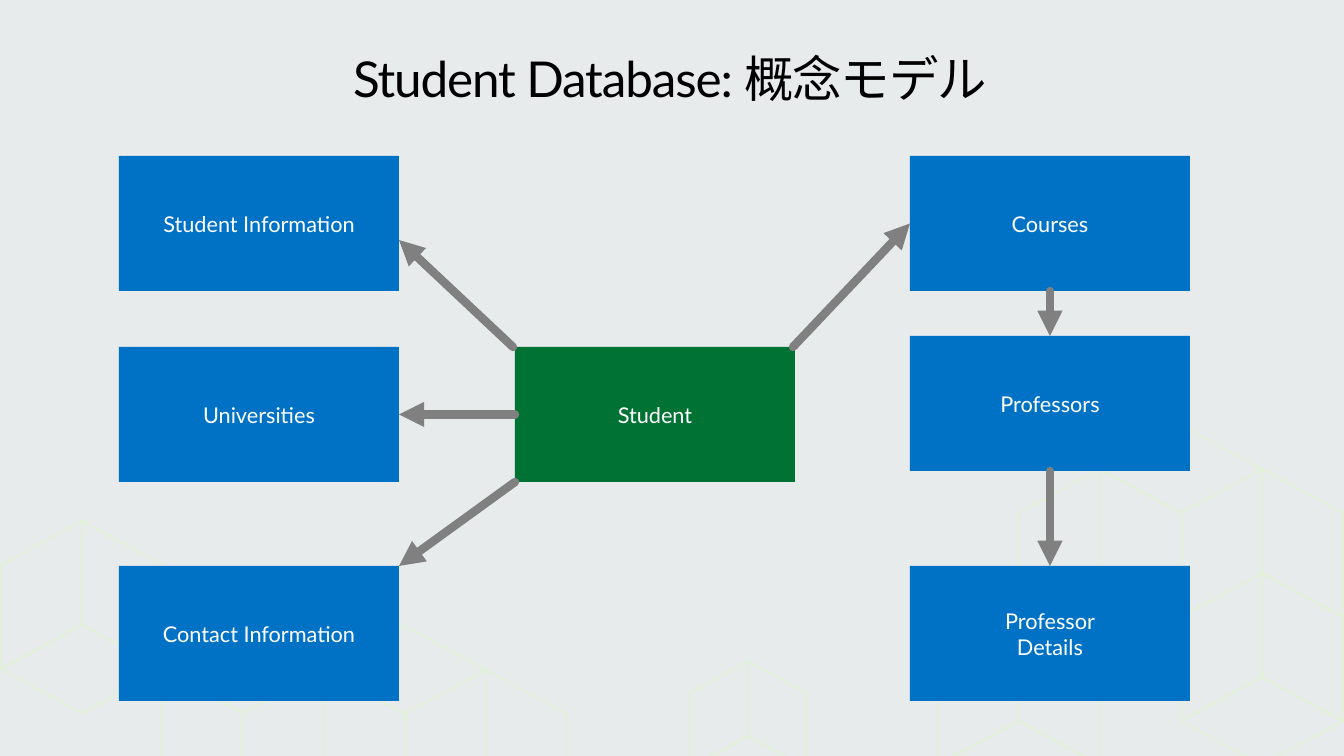
from lxml.etree import SubElement
from pptx import Presentation
from pptx.dml.color import RGBColor
from pptx.enum.shapes import MSO_CONNECTOR, MSO_SHAPE
from pptx.enum.text import MSO_ANCHOR, PP_ALIGN
from pptx.oxml.ns import qn
from pptx.util import Emu, Pt

EMU_PER_PX = 12192000 / 1344
FONT = "Lato"
BACKGROUND = RGBColor(0xE7, 0xEB, 0xEC)
PATTERN = RGBColor(0xE2, 0xF0, 0xD9)
BLUE = RGBColor(0x00, 0x72, 0xC6)
GREEN = RGBColor(0x00, 0x72, 0x33)
GRAY = RGBColor(0x80, 0x80, 0x80)
WHITE = RGBColor(0xFF, 0xFF, 0xFF)
BLACK = RGBColor(0x00, 0x00, 0x00)

ENTITY_SIZE = (280, 135)
LEFT_X, CENTER_X, RIGHT_X = 119, 515, 910
TOP_Y, MIDDLE_Y, BOTTOM_Y = 156, 347, 566
TOP, LEFT, BOTTOM, RIGHT = range(4)

# Cube geometry: half width, half depth, edge height
LARGE = (81, 44, 104)
SMALL = (58, 32, 75)


def px(*lengths):
    return [Emu(round(length * EMU_PER_PX)) for length in lengths]


def style_text(frame, size, color):
    frame.word_wrap = True
    frame.vertical_anchor = MSO_ANCHOR.MIDDLE
    for paragraph in frame.paragraphs:
        paragraph.alignment = PP_ALIGN.CENTER
        for run in paragraph.runs:
            run.font.name = FONT
            run.font.size = Pt(size)
            run.font.color.rgb = color


# Background cubes
def wall(x, y, side, cube=LARGE):
    """Side face, from its inner top corner; side is -1 left, 1 right."""
    half, depth, height = cube
    outer = x + side * half
    return [(x, y), (x, y + height), (outer, y + depth + height), (outer, y + depth)]


def rhombus(x, y):
    half, depth, _ = LARGE
    return [(x, y), (x + half, y + depth), (x, y + 2 * depth), (x - half, y + depth)]


def open_cube(x, y):
    """Right wall joined with the floor, from the inner top corner."""
    half, depth, height = LARGE
    floor = y + height
    return [(x, y), (x + half, y + depth), (x + half, floor + depth),
            (x, floor + 2 * depth), (x - half, floor + depth), (x, floor)]


def chevron(x, y, cube=LARGE):
    half, depth, _ = cube
    return [(x + half, y + depth), (x, y), (x - half, y + depth)]


def add_outline(slide, *contours, close=True):
    builder = slide.shapes.build_freeform(*contours[0][0], scale=EMU_PER_PX)
    for index, contour in enumerate(contours):
        if index:
            builder.move_to(*contour[0])
        builder.add_line_segments(contour[1:], close=close)
    outline = builder.convert_to_shape()
    outline.shadow.inherit = False
    outline.fill.background()
    outline.line.color.rgb = PATTERN
    outline.line.width = Pt(1.38)


def add_cubes(slide):
    for x, y, sides in [(1019, 617, (-1, 1)), (1100, 469, (-1,)),
                        (1262, 573, (-1, 1)), (1262, 469, (1,)),
                        (324, 669, (-1,)), (162, 669, (1,)),
                        (82, 521, (1, -1)), (486, 670, (1,))]:
        for side in sides:
            add_outline(slide, wall(x, y, side))
    for x, y in [(1262, 677), (82, 625)]:
        add_outline(slide, rhombus(x, y))
    half, depth, _ = LARGE
    for x, y in [(1100, 469), (324, 670)]:
        add_outline(slide, open_cube(x, y), rhombus(x + half, y - depth))
    for side in (-1, 1):
        add_outline(slide, wall(748, 661, side, SMALL))
    add_outline(slide, chevron(1019, 721), close=False)
    add_outline(slide, chevron(748, 736, SMALL), close=False)


# Title, entities and relations
def add_title(slide, text):
    title = slide.shapes.add_textbox(*px(30, 32, 1290, 99))
    frame = title.text_frame
    frame.text = text
    frame.margin_left, frame.margin_right, frame.margin_top, frame.margin_bottom = px(16, 16, 10, 10)
    style_text(frame, 35.3, BLACK)
    heading = frame.paragraphs[0]
    heading.line_spacing = 0.9
    heading.runs[0].font._element.set("spc", "-80")


def add_entity(slide, text, x, y, fill=BLUE):
    entity = slide.shapes.add_shape(MSO_SHAPE.RECTANGLE, *px(x, y, *ENTITY_SIZE))
    entity.shadow.inherit = False
    entity.fill.solid()
    entity.fill.fore_color.rgb = fill
    entity.line.fill.background()
    entity.text_frame.text = text
    style_text(entity.text_frame, 15.5, WHITE)
    return entity


def add_arrow(slide, start, end):
    """Each end is a point in px or an (entity, side) pair."""
    points = [(0, 0) if hasattr(first, "text_frame") else (first, second)
              for first, second in (start, end)]
    arrow = slide.shapes.add_connector(MSO_CONNECTOR.STRAIGHT, *px(*points[0], *points[1]))
    for (first, second), join in ((start, arrow.begin_connect), (end, arrow.end_connect)):
        if hasattr(first, "text_frame"):
            join(first, second)
    arrow.line.color.rgb = GRAY
    arrow.line.width = Pt(6)
    properties = arrow._element.spPr
    stroke = properties.find(qn("a:ln"))
    stroke.set("cap", "rnd")
    SubElement(stroke, qn("a:tailEnd"), type="triangle")
    SubElement(properties, qn("a:effectLst"))


def main():
    presentation = Presentation()
    presentation.slide_width, presentation.slide_height = px(1344, 756)
    slide = presentation.slides.add_slide(presentation.slide_layouts[6])
    slide.background.fill.solid()
    slide.background.fill.fore_color.rgb = BACKGROUND
    add_cubes(slide)
    add_title(slide, "Student Database: 概念モデル ")

    # Entities
    student = add_entity(slide, "Student", CENTER_X, MIDDLE_Y, GREEN)
    add_entity(slide, "Student Information", LEFT_X, TOP_Y)
    universities = add_entity(slide, "Universities", LEFT_X, MIDDLE_Y)
    add_entity(slide, "Contact Information", LEFT_X, BOTTOM_Y)
    courses = add_entity(slide, "Courses", RIGHT_X, TOP_Y)
    professors = add_entity(slide, "Professors", RIGHT_X, 336)
    details = add_entity(slide, "Professor\nDetails", RIGHT_X, BOTTOM_Y)

    # Relations
    for start, end in [
        ((courses, BOTTOM), (professors, TOP)),
        ((793, 347), (courses, LEFT)),
        ((513, 347), (399, 240)),
        ((student, LEFT), (universities, RIGHT)),
        ((515, 482), (399, 566)),
        ((professors, BOTTOM), (details, TOP)),
    ]:
        add_arrow(slide, start, end)

    presentation.save("out.pptx")


if __name__ == "__main__":
    main()
